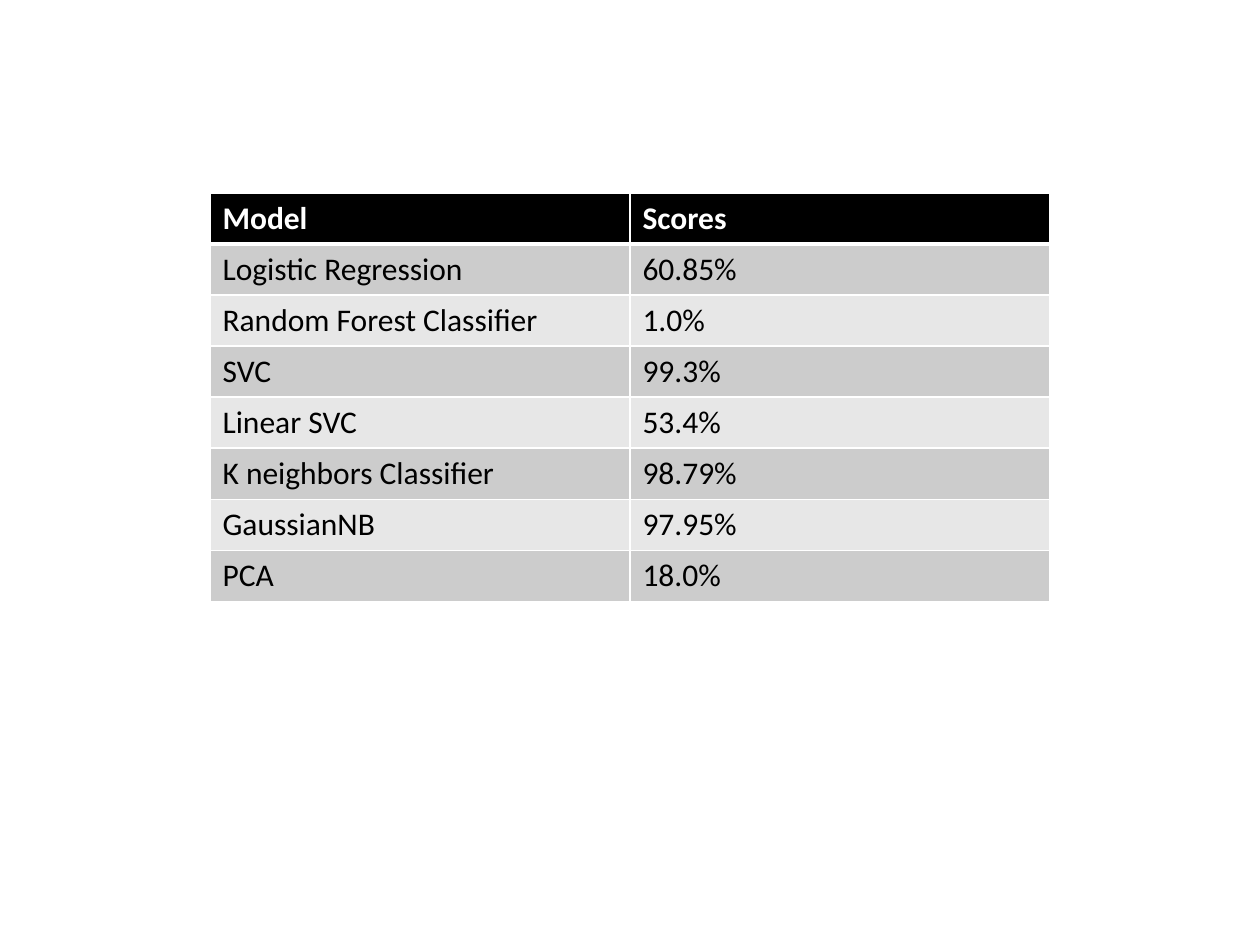
from lxml import etree
from pptx import Presentation
from pptx import util as u
from pptx.dml.color import RGBColor
from pptx.oxml.ns import qn

COLORS = {
    "header": "000000",
    "odd": "CCCCCC",
    "even": "E7E7E7",
    "line": "FFFFFF",
    "header_text": "FFFFFF",
    "body_text": "000000",
}
FONT = "Calibri"
ROW_HEIGHT = u.Inches(0.405)
SCORES = [
    ("Model", "Scores"),
    ("Logistic Regression", "60.85%"),
    ("Random Forest Classifier", "1.0%"),
    ("SVC", "99.3%"),
    ("Linear SVC", "53.4%"),
    ("K neighbors Classifier", "98.79%"),
    ("GaussianNB", "97.95%"),
    ("PCA", "18.0%"),
]


def add_border(cell, side, points):
    """Draw one side (L, R, T or B); call before the cell's fill is set."""
    properties = cell._tc.get_or_add_tcPr()
    line = etree.SubElement(properties, qn(f"a:ln{side}"), w=str(u.Pt(points)))
    fill = etree.SubElement(line, qn("a:solidFill"))
    etree.SubElement(fill, qn("a:srgbClr"), val=COLORS["line"])


def write_cell(cell, words, is_header):
    span = cell.text_frame.paragraphs[0].add_run()
    span.text = words
    span.font.name = FONT
    span.font.size = u.Pt(18)
    span.font.bold = is_header
    color = COLORS["header_text" if is_header else "body_text"]
    span.font.color.rgb = RGBColor.from_string(color)


def style_cell(cell, row):
    widths = {"L": 1, "R": 1, "T": 3 if row == 1 else 1, "B": 3 if row == 0 else 1}
    for side, points in widths.items():
        add_border(cell, side, points)
    band = "header" if row == 0 else "odd" if row % 2 else "even"
    cell.fill.solid()
    cell.fill.fore_color.rgb = RGBColor.from_string(COLORS[band])


def add_score_table(page, left, top, width):
    rows, columns = len(SCORES), len(SCORES[0])
    frame = page.shapes.add_table(rows, columns, left, top, width, ROW_HEIGHT * rows)
    for row, record in enumerate(SCORES):
        for column, words in enumerate(record):
            cell = frame.table.cell(row, column)
            style_cell(cell, row)
            write_cell(cell, words, row == 0)


def main():
    deck = Presentation()
    deck.slide_width, deck.slide_height = u.Inches(10), u.Inches(7.5)
    page = deck.slides.add_slide(deck.slide_layouts[6])
    table_width = deck.slide_width * 2 // 3
    left = (deck.slide_width - table_width) // 2
    add_score_table(page, left, u.Inches(1.53), table_width)
    deck.save("out.pptx")


if __name__ == "__main__":
    main()
